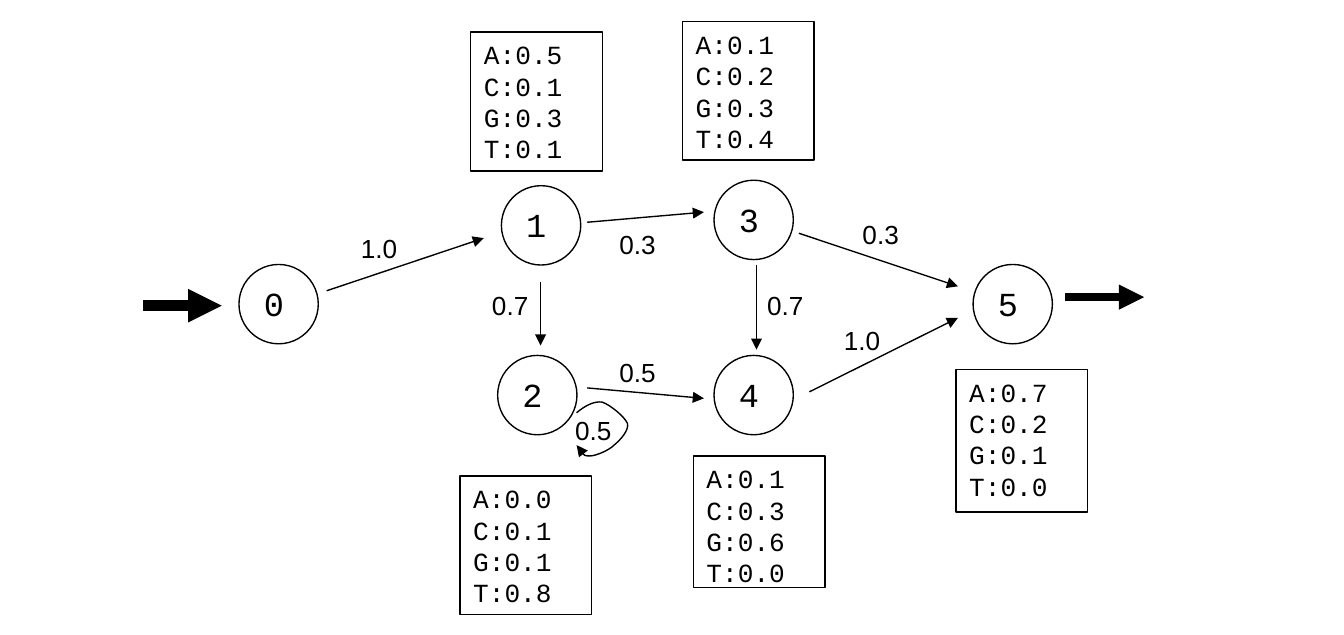
"""Build a slide showing a hidden Markov model over DNA letters."""
from lxml import etree
from pptx import Presentation
from pptx.dml.color import RGBColor
from pptx.enum.shapes import MSO_CONNECTOR, MSO_SHAPE
from pptx.enum.text import MSO_ANCHOR, MSO_AUTO_SIZE, PP_ALIGN
from pptx.oxml.ns import qn
from pptx.util import Pt

OVAL, RECTANGLE = MSO_SHAPE.OVAL, MSO_SHAPE.RECTANGLE
STRAIGHT = MSO_CONNECTOR.STRAIGHT
LEFT, JUSTIFY = PP_ALIGN.LEFT, PP_ALIGN.JUSTIFY
TOP, FIXED = MSO_ANCHOR.TOP, MSO_AUTO_SIZE.NONE
BLACK = RGBColor(0x00, 0x00, 0x00)
WHITE = RGBColor(0xFF, 0xFF, 0xFF)

STATE_SIZE = 42.5
EMISSION_WIDTH = 70.5
LABEL_SIZE = (75, 36)
THIN = 0.75

STATES = [
    ("0", 128, 141.6),
    ("1", 268.6, 99.4),
    ("2", 266.6, 190.3),
    ("3", 382.5, 96.5),
    ("4", 382.5, 190.3),
    ("5", 521.3, 141.6),
]
EMISSIONS = [
    (("A:0.5", "C:0.1", "G:0.3", "T:0.1"), 252.2, 17.1, 74.4),
    (("A:0.0", "C:0.1", "G:0.1", "T:0.8"), 246.4, 254.9, 74.2),
    (("A:0.1", "C:0.2", "G:0.3", "T:0.4"), 365.6, 11.5, 74.2),
    (("A:0.1", "C:0.3", "G:0.6", "T:0.0"), 371.4, 244.1, 70.4),
    (("A:0.7", "C:0.2", "G:0.1", "T:0.0"), 512.1, 197.8, 76.3),
]
ARROWS = [
    (76.5, 163.7, 118.8, 163.7, 6),
    (175, 155.7, 259.2, 127.5, THIN),
    (289.6, 151.2, 289.6, 185, THIN),
    (314.6, 119, 377.1, 113.6, THIN),
    (314.6, 207.7, 377.1, 213.3, THIN),
    (405.3, 141.8, 405.3, 187.2, THIN),
    (428, 124.9, 513.2, 153.3, THIN),
    (433.6, 209.8, 513.2, 170.2, THIN),
    (570.7, 159.1, 612.9, 159.1, 4.5),
]
LOOP_START = (308.9, 221)
LOOP_CURVES = [
    (313.2, 217.4), (318.2, 214.6), (322.6, 215.3),
    (326.9, 216.7), (334.8, 223.2), (336.2, 226.8),
    (337, 230.4), (332.6, 235.4), (329, 238.3),
    (326.2, 241.2), (319, 244.1), (316.1, 244.1),
    (312.5, 244.1), (310.3, 241.2), (308.9, 238.3),
]
LABELS = [
    ("1.0", 186.3, 120.9),
    ("0.7", 256.5, 151.2),
    ("0.3", 324.7, 119),
    ("0.5", 301, 218.2),
    ("0.5", 324.7, 187.4),
    ("0.7", 403.9, 151.2),
    ("0.3", 455, 113.6),
    ("1.0", 445, 170.1),
]

FRAME_FORMAT = {
    "word_wrap": True,
    "auto_size": FIXED,
    "vertical_anchor": TOP,
    "margin_left": Pt(7.2),
    "margin_right": Pt(7.2),
    "margin_top": Pt(3.6),
    "margin_bottom": Pt(3.6),
}
STATE_FONT = {"name": "Courier New", "size": Pt(18)}
EMISSION_FONT = {"name": "Courier New", "size": Pt(14)}
LABEL_FONT = {"name": "Arial", "size": Pt(14)}


def apply_format(target, values):
    for name, value in values.items():
        setattr(target, name, value)


def write_lines(box, lines, font, alignment):
    frame = box.text_frame
    apply_format(frame, FRAME_FORMAT)
    frame.text = "\n".join(lines)
    for para in frame.paragraphs:
        para.alignment = alignment
        for span in para.runs:
            apply_format(span.font, font)
            span.font.color.rgb = BLACK


def style_line(shape, width):
    shape.line.color.rgb = BLACK
    shape.line.width = Pt(width)


def add_arrowhead(shape):
    outline = shape.element.spPr.get_or_add_ln()
    etree.SubElement(outline, qn("a:tailEnd"), type="triangle")


def add_outlined(page, kind, bounds, lines, font, alignment):
    shape = page.shapes.add_shape(kind, *map(Pt, bounds))
    shape.shadow.inherit = False
    shape.fill.solid()
    shape.fill.fore_color.rgb = WHITE
    style_line(shape, THIN)
    write_lines(shape, lines, font, alignment)


def add_arrow(page, ends, width):
    arrow = page.shapes.add_connector(STRAIGHT, *map(Pt, ends))
    style_line(arrow, width)
    add_arrowhead(arrow)
    etree.SubElement(arrow.element.spPr, qn("a:effectLst"))


def add_loop(page):
    builder = page.shapes.build_freeform(*map(Pt, LOOP_START))
    builder.add_line_segments([tuple(map(Pt, point)) for point in LOOP_CURVES], close=False)
    loop = builder.convert_to_shape()
    outline = next(loop.element.iter(qn("a:path")))
    segments = outline.findall(qn("a:lnTo"))
    for first in range(0, len(segments), 3):
        curve = etree.SubElement(outline, qn("a:cubicBezTo"))
        for segment in segments[first:first + 3]:
            curve.append(segment[0])
            outline.remove(segment)
    loop.shadow.inherit = False
    loop.fill.background()
    style_line(loop, THIN)
    add_arrowhead(loop)


def main():
    deck = Presentation()
    deck.slide_width = Pt(720)
    deck.slide_height = Pt(340)
    page = deck.slides.add_slide(deck.slide_layouts[6])

    for name, left, top in STATES:
        bounds = (left, top, STATE_SIZE, STATE_SIZE)
        add_outlined(page, OVAL, bounds, [name], STATE_FONT, LEFT)
    for lines, left, top, height in EMISSIONS:
        bounds = (left, top, EMISSION_WIDTH, height)
        add_outlined(page, RECTANGLE, bounds, lines, EMISSION_FONT, JUSTIFY)
    for *ends, width in ARROWS:
        add_arrow(page, ends, width)
    add_loop(page)
    for probability, left, top in LABELS:
        box = page.shapes.add_textbox(*map(Pt, (left, top, *LABEL_SIZE)))
        write_lines(box, [probability], LABEL_FONT, JUSTIFY)

    deck.save("out.pptx")


if __name__ == "__main__":
    main()
